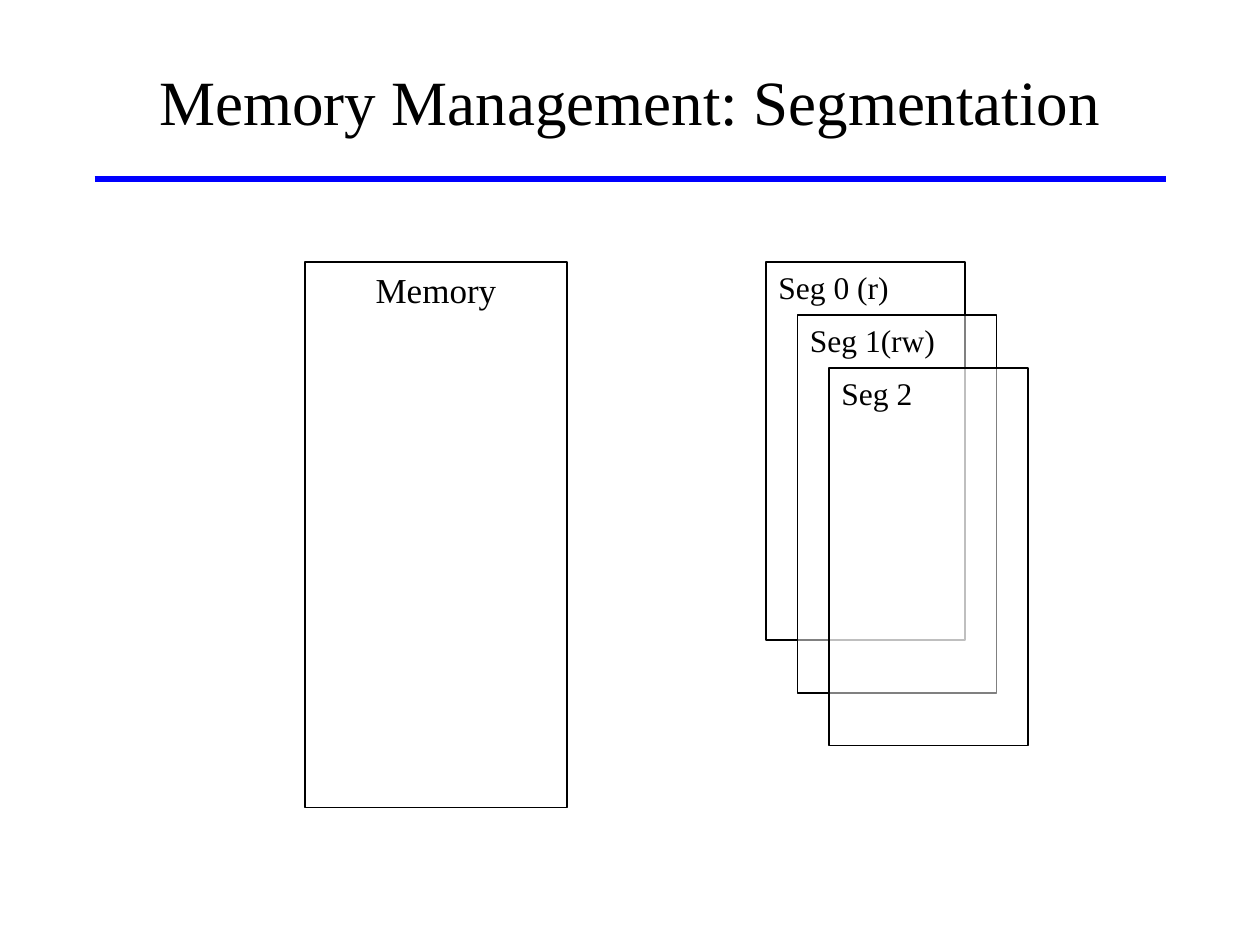
from pptx import Presentation
from pptx.dml.color import RGBColor
from pptx.enum.shapes import MSO_CONNECTOR, MSO_SHAPE
from pptx.enum.text import MSO_ANCHOR, MSO_AUTO_SIZE, PP_ALIGN
from pptx.oxml.ns import qn
from pptx.util import Inches, Pt
from lxml import etree

RECT, STRAIGHT = MSO_SHAPE.RECTANGLE, MSO_CONNECTOR.STRAIGHT
TOP, MIDDLE = MSO_ANCHOR.TOP, MSO_ANCHOR.MIDDLE
LEFT, CENTER = PP_ALIGN.LEFT, PP_ALIGN.CENTER

# Content
TITLE = "Memory Management: Segmentation"
MEMORY = "Memory"
SEGMENTS = ["Seg 0 (r)", "Seg 1(rw)", "Seg 2"]

THEME = {
    "font": "Times New Roman",
    "ink": RGBColor(0, 0, 0),
    "paper": RGBColor(255, 255, 255),
    "rule": RGBColor(0, 0, 255),
    "title": Pt(36), "memory": Pt(20), "segment": Pt(18),
    "outline": Pt(0.75), "rule_width": Pt(3),
}

# Layout, in inches
TITLE_BOX = (0.75, 0.17, 8.5, 1.25)
RULE = (0.75, 1.42, 9.25, 1.42)
MEMORY_BOX = (2.42, 2.08, 2.08, 4.33)
SEGMENT_BOX = (6.08, 2.08, 1.58, 3)
STEP_X, STEP_Y = 0.25, 0.42


def inches(values):
    return [Inches(v) for v in values]


def write(tf, text, size, align):
    p = tf.paragraphs[0]
    p.alignment = align
    r = p.add_run()
    r.text = text
    for name, value in {"name": THEME["font"], "size": size, "bold": False}.items():
        setattr(r.font, name, value)
    r.font.color.rgb = THEME["ink"]


def add_box(shapes, box, text, size, align, opacity=100):
    sp = shapes.add_shape(RECT, *inches(box))
    sp.shadow.inherit = False
    sp.line.color.rgb = THEME["ink"]
    sp.line.width = THEME["outline"]
    if opacity == 0:
        sp.fill.background()
    else:
        sp.fill.solid()
        sp.fill.fore_color.rgb = THEME["paper"]
        if opacity < 100:
            color = sp.fill._xPr.find(qn("a:solidFill"))[0]
            etree.SubElement(color, qn("a:alpha")).set("val", str(opacity * 1000))
    tf = sp.text_frame
    tf.word_wrap = False
    tf.vertical_anchor = TOP
    write(tf, text, size, align)


prs = Presentation()
prs.slide_width, prs.slide_height = Inches(10), Inches(7.5)
s = prs.slides.add_slide(prs.slide_layouts[5])

# Title
title = s.shapes.title
title.left, title.top, title.width, title.height = inches(TITLE_BOX)
title.text_frame.auto_size = MSO_AUTO_SIZE.NONE
title.text_frame.vertical_anchor = MIDDLE
write(title.text_frame, TITLE, THEME["title"], CENTER)

# Rule under the title
rule = s.shapes.add_connector(STRAIGHT, *inches(RULE))
rule.line.color.rgb = THEME["rule"]
rule.line.width = THEME["rule_width"]
etree.SubElement(rule._element.spPr, qn("a:effectLst"))

# Overlapping segments: the first is clear, the others half transparent
group = s.shapes.add_group_shape()
x, y, w, h = SEGMENT_BOX
for i, label in enumerate(SEGMENTS):
    box = (x + i * STEP_X, y + i * STEP_Y, w, h)
    add_box(group.shapes, box, label, THEME["segment"], LEFT, 50 if i else 0)

# Memory block
add_box(s.shapes, MEMORY_BOX, MEMORY, THEME["memory"], CENTER)

prs.save("out.pptx")
